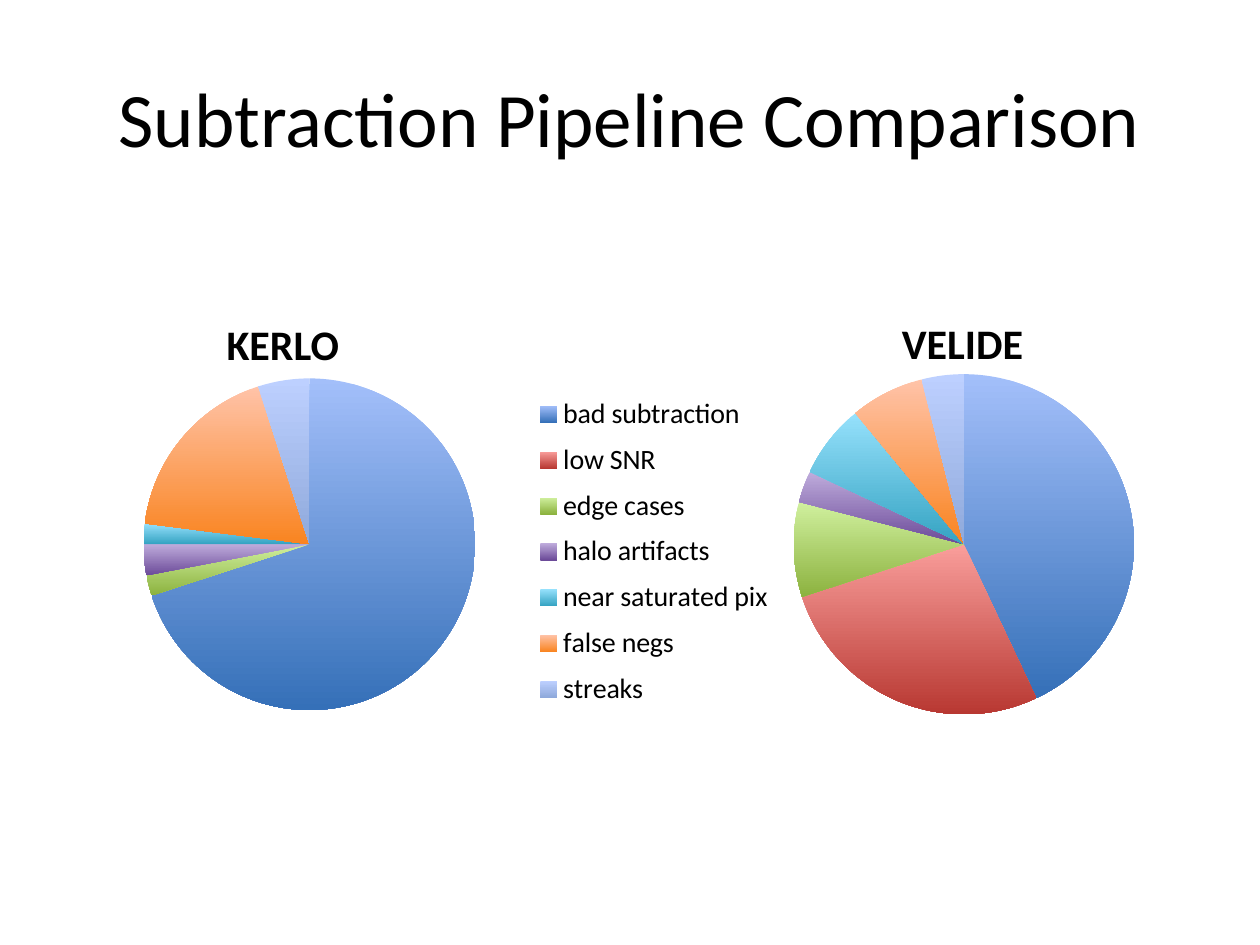
from lxml import etree
from pptx import Presentation
from pptx import util as u
from pptx.chart.data import CategoryChartData
from pptx.dml.color import RGBColor
from pptx.enum import chart as ch, text
from pptx.oxml.ns import qn

BLACK = RGBColor(0, 0, 0)
WEDGES = [
    (RGBColor(0xA3, 0xBF, 0xFA), RGBColor(0x35, 0x70, 0xB8)),
    (RGBColor(0xF9, 0x9E, 0x9B), RGBColor(0xB8, 0x38, 0x32)),
    (RGBColor(0xD0, 0xF0, 0x9E), RGBColor(0x8C, 0xB2, 0x3F)),
    (RGBColor(0xBF, 0xAC, 0xDC), RGBColor(0x6C, 0x4B, 0x99)),
    (RGBColor(0x96, 0xE1, 0xFC), RGBColor(0x35, 0xA3, 0xC2)),
    (RGBColor(0xFF, 0xC3, 0xA8), RGBColor(0xF9, 0x84, 0x20)),
    (RGBColor(0xBD, 0xD0, 0xFF), RGBColor(0x8F, 0xA9, 0xDB)),
]
CAUSES = ["bad subtraction", "low SNR", "edge cases", "halo artifacts",
          "near saturated pix", "false negs", "streaks"]


def manual_layout(box, inner=False):
    layout = etree.Element(qn("c:layout"))
    manual = etree.SubElement(layout, qn("c:manualLayout"))
    settings = [("layoutTarget", "inner")] if inner else []
    settings += [("xMode", "edge"), ("yMode", "edge")]
    settings += zip("xywh", box)
    for tag, value in settings:
        etree.SubElement(manual, qn("c:" + tag)).set("val", str(value))
    return layout


class Deck:
    font = "Calibri"

    def __init__(self, width, height):
        self.presentation = Presentation()
        self.presentation.slide_width = u.Inches(width)
        self.presentation.slide_height = u.Inches(height)
        self.slide = self.presentation.slides.add_slide(
            self.presentation.slide_layouts[6])

    def style(self, font, size, bold=False):
        font.name = self.font
        font.size = u.Pt(size)
        font.bold = bold
        font.color.rgb = BLACK

    def label(self, at, wording, size, bold=False, centred=False):
        frame = self.slide.shapes.add_textbox(*map(u.Inches, at)).text_frame
        frame.text = wording
        frame.word_wrap = centred
        paragraph = frame.paragraphs[0]
        if centred:
            frame.vertical_anchor = text.MSO_ANCHOR.MIDDLE
            paragraph.alignment = text.PP_ALIGN.CENTER
        self.style(paragraph.runs[0].font, size, bold)

    def pie(self, at, categories, shares, plot_box, legend_box=None):
        data = CategoryChartData()
        data.categories = categories
        data.add_series("Series 1", shares)
        chart = self.slide.shapes.add_chart(
            ch.XL_CHART_TYPE.PIE, *map(u.Inches, at), data).chart
        chart.has_title = False
        self.style(chart.font, 10)
        plot = chart.plots[0]
        plot.vary_by_categories = True
        for index, (light, dark) in enumerate(WEDGES):
            wedge = plot.series[0].points[index].format
            wedge.fill.gradient()
            wedge.fill.gradient_angle = 270
            for stop, colour in zip(wedge.fill.gradient_stops, (light, dark)):
                stop.color.rgb = colour
            wedge.line.fill.background()
        area = chart._chartSpace.find(".//" + qn("c:plotArea"))
        for old in area.findall(qn("c:layout")):
            area.remove(old)
        area.insert(0, manual_layout(plot_box, inner=True))
        chart.has_legend = legend_box is not None
        if legend_box:
            legend = chart.legend
            legend.position = ch.XL_LEGEND_POSITION.RIGHT
            legend.include_in_layout = False
            self.style(legend.font, 16)
            element = legend._element
            for old in element.findall(qn("c:layout")):
                element.remove(old)
            element.find(qn("c:legendPos")).addnext(manual_layout(legend_box))


def main():
    deck = Deck(10, 7.5)
    deck.label((0.5, 0.3, 9, 1.25), "Subtraction Pipeline Comparison", 44,
               centred=True)
    deck.label((1.7, 2.48, 1.26, 0.5), "KERLO", 24, bold=True)
    deck.label((7.06, 2.47, 1.2, 0.5), "VELIDE", 24, bold=True)
    deck.pie((0.33, 2.82, 6.75, 3), CAUSES, (70, 0, 2, 3, 2, 18, 5),
             (0.12, 0.06, 0.39, 0.88), (0.58, 0.08, 0.28, 0.88))
    deck.pie((5.15, 2.82, 5, 3), [str(n) for n in range(1, 8)],
             (43, 27, 9, 3, 7, 7, 4), (0.23, 0.05, 0.54, 0.9))
    deck.presentation.save("out.pptx")


if __name__ == "__main__":
    main()
